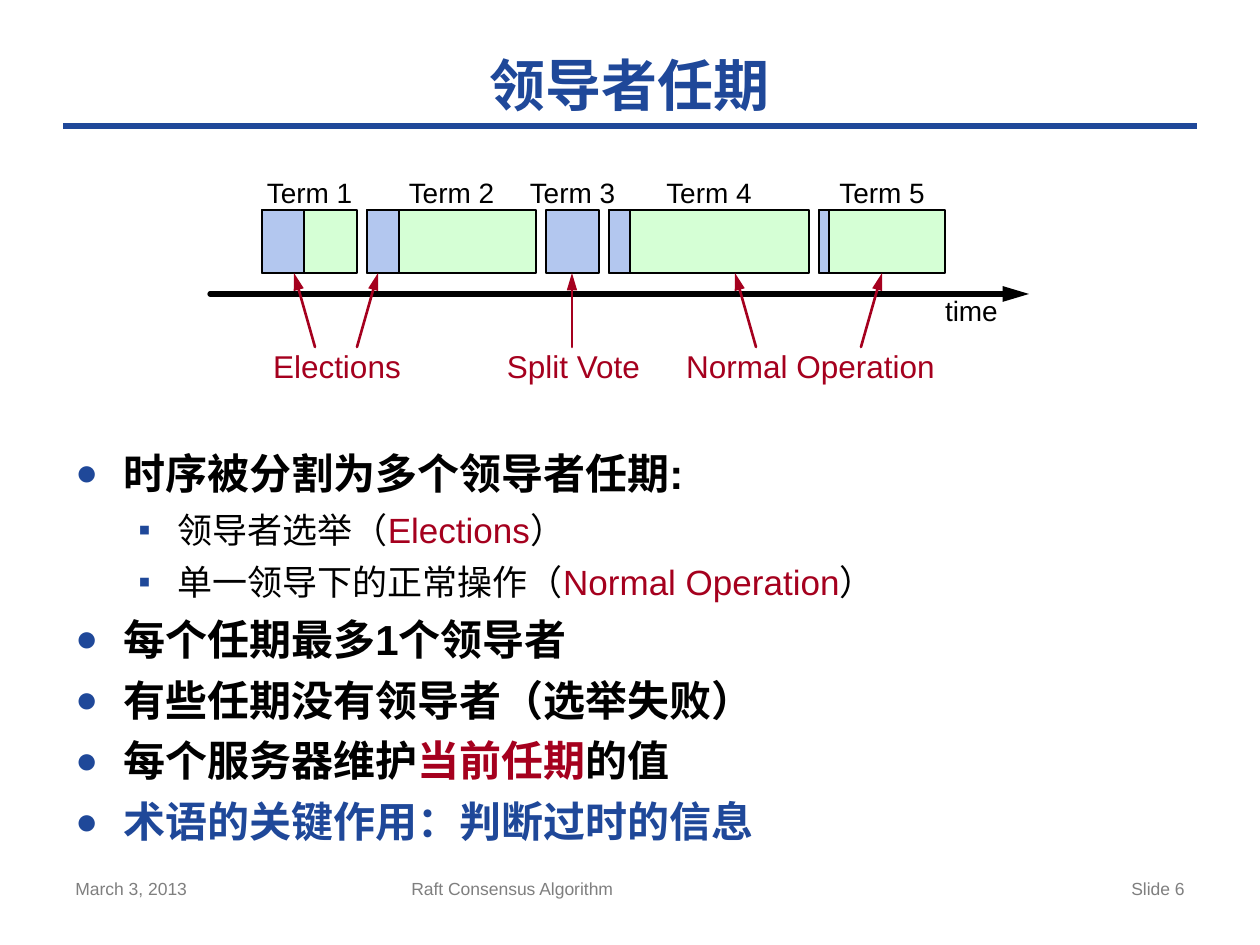
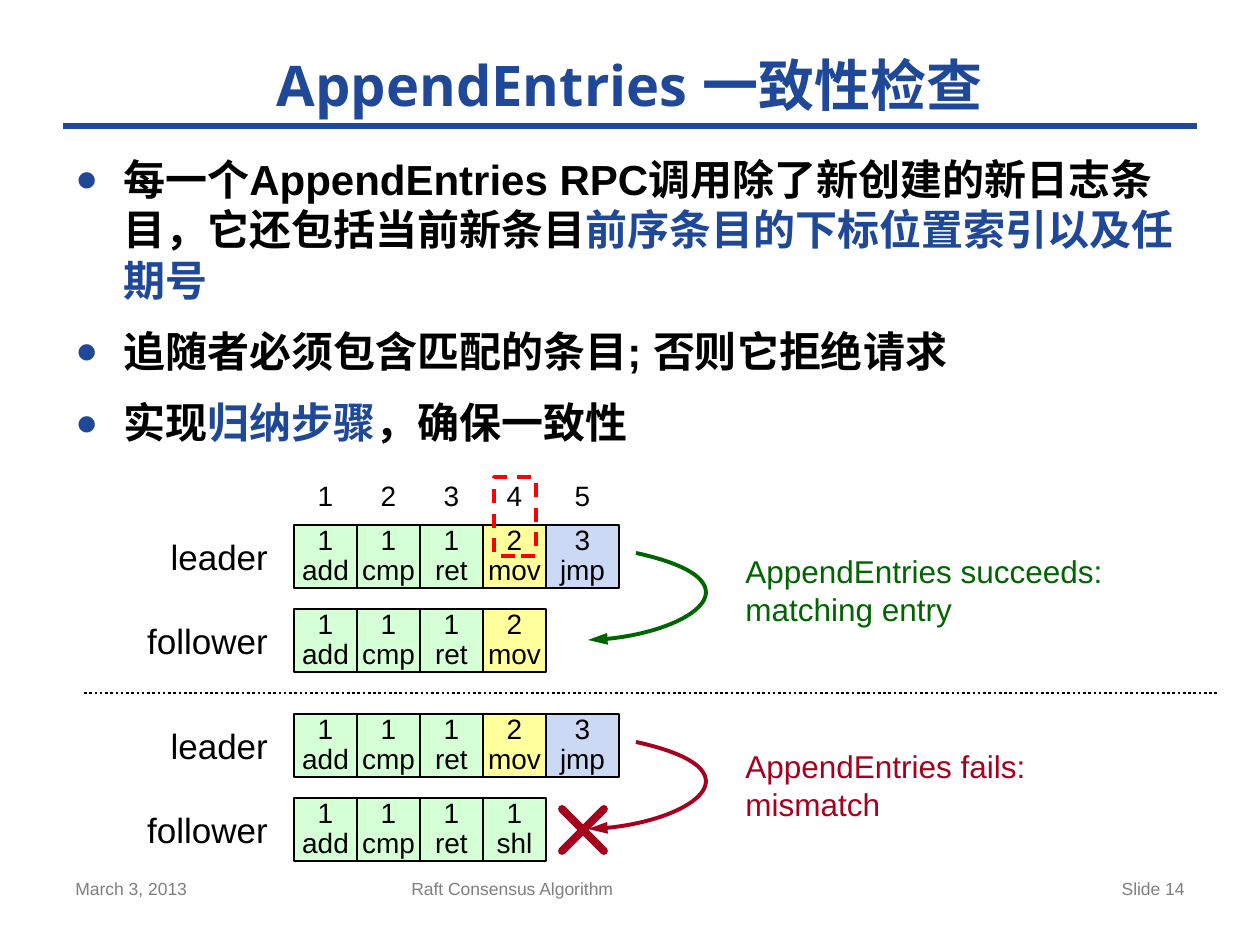
from lxml.etree import SubElement
from pptx import Presentation
from pptx.dml.color import RGBColor
from pptx.enum.dml import MSO_LINE
from pptx.enum.shapes import MSO_CONNECTOR, MSO_SHAPE
from pptx.enum.text import MSO_ANCHOR, PP_ALIGN
from pptx.oxml.ns import qn
from pptx.util import Pt

PX = 914400 / 126
COLORS = {
    "ink": "000000", "blue": "1F4899", "crimson": "A5001E", "gray": "7F7F7F",
    "green": "006400", "red": "FF0000", "election": "B3C7EF",
    "normal": "D5FFD5", "term 1": "D5FFD5", "term 2": "FFFF9B", "term 3": "CCD9F4",
}
LEFT, CENTER, RIGHT = PP_ALIGN.LEFT, PP_ALIGN.CENTER, PP_ALIGN.RIGHT
TOP, MIDDLE = MSO_ANCHOR.TOP, MSO_ANCHOR.MIDDLE
# Bullet character, size in percent, text indent and hanging indent by level
BULLETS = [("●", 90, 48, 48), ("▪", 100, 102, 39)]


def emu(*pixels):
    """Turn pixel lengths into EMU."""
    return [round(p * PX) for p in pixels]


def rgb(name):
    """Look up a colour of the palette."""
    return RGBColor.from_string(COLORS[name])


def write(frame, paragraphs, size=16, font="Arial", color="ink", bold=False,
          align=LEFT, anchor=TOP, inset=None, wrap=True, leading=None):
    """Fill a frame; a paragraph is a string or a list of (text, colour) runs."""
    frame.word_wrap = wrap
    frame.vertical_anchor = anchor
    if inset is not None:
        frame.margin_left = frame.margin_right = inset
        frame.margin_top = frame.margin_bottom = inset
    for index, runs in enumerate(paragraphs):
        paragraph = frame.paragraphs[0] if index == 0 else frame.add_paragraph()
        paragraph.alignment = align
        if leading:
            paragraph.line_spacing = Pt(leading)
        for text, tint in [(runs, color)] if isinstance(runs, str) else runs:
            for row, part in enumerate(text.split("\v")):
                if row:
                    paragraph.add_line_break()
                run = paragraph.add_run()
                run.text = part
                run.font.size, run.font.name, run.font.bold = Pt(size), font, bold
                run.font.color.rgb = rgb(tint)


def add_text(slide, box, paragraphs, **style):
    """Place a text box."""
    frame = slide.shapes.add_textbox(*emu(*box)).text_frame
    write(frame, paragraphs, **style)
    return frame


def style_line(shape, color, width, arrow=False, dash=None):
    """Colour an outline, with an optional dash or arrowhead at its end."""
    shape.line.color.rgb = rgb(color)
    shape.line.width = Pt(width)
    if dash:
        shape.line.dash_style = dash
    if arrow:
        SubElement(shape.line._get_or_add_ln(), qn("a:tailEnd"),
                   type="triangle", w="med", len="lg")


def add_line(slide, start, end, color, width, rounded=True, **style):
    """Draw a straight connector."""
    line = slide.shapes.add_connector(MSO_CONNECTOR.STRAIGHT, *emu(*start, *end))
    style_line(line, color, width, **style)
    if rounded:
        line.line._get_or_add_ln().set("cap", "rnd")
    SubElement(line._element.spPr, qn("a:effectLst"))


def add_box(slide, box, fill=None, outline="ink", width=1.5, **style):
    """Draw a rectangle."""
    shape = slide.shapes.add_shape(MSO_SHAPE.RECTANGLE, *emu(*box))
    shape.shadow.inherit = False
    if fill:
        shape.fill.solid()
        shape.fill.fore_color.rgb = rgb(fill)
    else:
        shape.fill.background()
    style_line(shape, outline, width, **style)
    return shape


def add_return_arrow(slide, x, y, color):
    """Draw the curve that leaves a leader and bends back to its follower."""
    bend, tip = (118, 40), (0, 87)
    builder = slide.shapes.build_freeform(*emu(x + 48, y))
    builder.add_line_segments(
        [emu(x + dx, y + dy) for dx, dy in (bend, tip)], close=False)
    curve = builder.convert_to_shape()
    outline = curve._element.spPr.find(".//" + qn("a:path"))
    for segment in outline.findall(qn("a:lnTo")):
        outline.remove(segment)
    bezier = SubElement(outline, qn("a:cubicBezTo"))
    for point in ((176, 28), (96, 85), tip):
        px, py = emu(*point)
        SubElement(bezier, qn("a:pt"), x=str(px), y=str(py))
    curve.fill.background()
    curve.shadow.inherit = False
    style_line(curve, color, 2.25, arrow=True)


def add_bullets(slide, box, items, gaps):
    """Write (level, runs) items as a bulleted list with the given gaps before."""
    frame = add_text(slide, box, [])
    for index, ((level, runs), gap) in enumerate(zip(items, gaps)):
        if index:
            frame.add_paragraph()
    write_items = zip(frame.paragraphs, items, gaps)
    for paragraph, (level, runs), gap in write_items:
        char, percent, left, hanging = BULLETS[level]
        paragraph.level = level
        paragraph.space_before = Pt(gap)
        props = paragraph._p.get_or_add_pPr()
        props.set("marL", str(emu(left)[0]))
        props.set("indent", str(emu(-hanging)[0]))
        tint = SubElement(props, qn("a:buClr"))
        SubElement(tint, qn("a:srgbClr"), val=COLORS["blue"])
        SubElement(props, qn("a:buSzPct"), val=str(percent * 1000))
        SubElement(props, qn("a:buFont"), typeface="Arial")
        SubElement(props, qn("a:buChar"), char=char)
        for text, color in runs:
            run = paragraph.add_run()
            run.text = text
            run.font.name, run.font.bold = "Arial", level == 0
            run.font.size = Pt(20 if level else 24)
            run.font.color.rgb = rgb(color)


def start_slide(deck, title, number):
    """Add a slide with its title, rule and footer."""
    slide = deck.slides.add_slide(deck.slide_layouts[5])
    heading = slide.shapes.title
    heading.left, heading.top, heading.width, heading.height = emu(63, 42, 1134, 84)
    write(heading.text_frame, [title], size=32, font="Open Sans", color="blue",
          bold=True, align=CENTER, anchor=MIDDLE)
    add_line(slide, (63, 126), (1197, 126), "blue", 4, rounded=False)
    for left, width, text, align in (
            (63, 294, "March 3, 2013", LEFT),
            (399, 473, "Raft Consensus Algorithm", LEFT),
            (903, 294, f"Slide {number}", RIGHT)):
        add_text(slide, (left, 872, width, 54), [text], size=10, color="gray",
                 align=align)
    return slide


def add_timeline(slide, x, y):
    """Draw the terms along the time axis, with captions pointing at them."""
    add_line(slide, (x, y + 118), (x + 819, y + 118), "ink", 3, arrow=True)
    add_text(slide, (x + 735, y + 118, 53, 34), ["time"], align=CENTER,
             inset=0, wrap=False)
    left = x + 52
    terms = [(95, 42), (169, 32), (53, 53), (200, 21), (126, 10)]
    for number, (width, election) in enumerate(terms, 1):
        if election < width:
            add_box(slide, (left, y + 34, width, 63), "normal")
        add_box(slide, (left, y + 34, election, 63), "election")
        add_text(slide, (left + width / 2 - 47, y, 94, 34), [f"Term {number}"],
                 align=CENTER, inset=0)
        left += width + 10
    captions = [
        ("Elections", 63, 128, [(105, 84), (147, 168)]),
        ("Split Vote", 296, 135, [(362, 362)]),
        ("Normal Operation", 475, 251, [(546, 525), (651, 672)]),
    ]
    for text, offset, width, arrows in captions:
        add_text(slide, (x + offset, y + 171, width, 38), [text], size=18,
                 color="crimson", align=CENTER, inset=0, wrap=False)
        for start, end in arrows:
            add_line(slide, (x + start, y + 171), (x + end, y + 97), "crimson",
                     1.5, arrow=True)


def add_log(slide, x, y, owner, entries):
    """Draw a server's name and its row of log entries."""
    add_text(slide, (x, y + 10, 122, 43), [owner], size=20, align=RIGHT, inset=0)
    for index, entry in enumerate(entries.split()):
        term, command = entry.split(":")
        width = 73 if index == 4 else 63
        cell = add_box(slide, (x + 148 + 63 * index, y, width, 63), f"term {term}")
        write(cell.text_frame, [f"{term}\v{command}"], align=CENTER,
              anchor=MIDDLE, inset=0, leading=17)


def add_scenario(slide, x, y, follower, message, message_box, color):
    """Draw a leader log above a follower log, and the outcome of the check."""
    add_log(slide, x, y, "leader", "1:add 1:cmp 1:ret 2:mov 3:jmp")
    add_log(slide, x, y + 84, "follower", follower)
    add_return_arrow(slide, x + 442, y + 28, color)
    dx, dy, width = message_box
    add_text(slide, (x + dx, y + dy, width, 89), message, size=18, color=color)


def add_cross(slide, x, y, side):
    """Draw a rejection cross in a square."""
    for start, end in ((y, y + side), (y + side, y)):
        add_line(slide, (x, start), (x + side, end), "crimson", 4.5)


def build_terms_slide(deck):
    """Build the slide about leader terms."""
    slide = start_slide(deck, "领导者任期", 6)
    add_timeline(slide, 210, 176)
    items = [
        (0, [("时序被分割为多个领导者任期:", "ink")]),
        (1, [("领导者选举（", "ink"), ("Elections", "crimson"), ("）", "ink")]),
        (1, [("单一领导下的正常操作（", "ink"), ("Normal Operation", "crimson"),
             ("）", "ink")]),
        (0, [("每个任期最多1个领导者", "ink")]),
        (0, [("有些任期没有领导者（选举失败）", "ink")]),
        (0, [("每个服务器维护", "ink"), ("当前任期", "crimson"), ("的值", "ink")]),
        (0, [("术语的关键作用：判断过时的信息", "blue")]),
    ]
    add_bullets(slide, (63, 441, 1134, 403), items, [12] + [6] * 6)


def build_consistency_slide(deck):
    """Build the slide about the AppendEntries check."""
    slide = start_slide(deck, "AppendEntries 一致性检查", 14)
    items = [
        (0, [("每一个AppendEntries RPC调用除了新创建的新日志条目，它还包括当前新条目",
              "ink"), ("前序条目的下标位置索引以及任期号", "blue")]),
        (0, [("追随者必须包含匹配的条目; 否则它拒绝请求", "ink")]),
        (0, [("实现", "ink"), ("归纳步骤", "blue"), ("，确保一致性", "ink")]),
    ]
    add_bullets(slide, (63, 147, 1134, 336), items, [12] * 3)
    for index in range(5):
        width = 73 if index == 4 else 63
        add_text(slide, (294 + 63 * index, 472, width, 47), [str(index + 1)],
                 align=CENTER)
    add_scenario(slide, 146, 525, "1:add 1:cmp 1:ret 2:mov",
                 ["AppendEntries succeeds:", "matching entry"],
                 (587, 21, 386), "green")
    add_scenario(slide, 146, 714, "1:add 1:cmp 1:ret 1:shl",
                 ["AppendEntries fails:", "mismatch"], (587, 27, 309), "crimson")
    add_cross(slide, 562, 809, 42)
    add_box(slide, (494, 477, 42, 79), outline="red", width=2, dash=MSO_LINE.DASH)
    add_line(slide, (84, 693), (1218, 693), "ink", 1.5, rounded=False,
             dash=MSO_LINE.ROUND_DOT)


deck = Presentation()
deck.slide_width, deck.slide_height = emu(1260, 945)
build_terms_slide(deck)
build_consistency_slide(deck)
deck.save("out.pptx")
